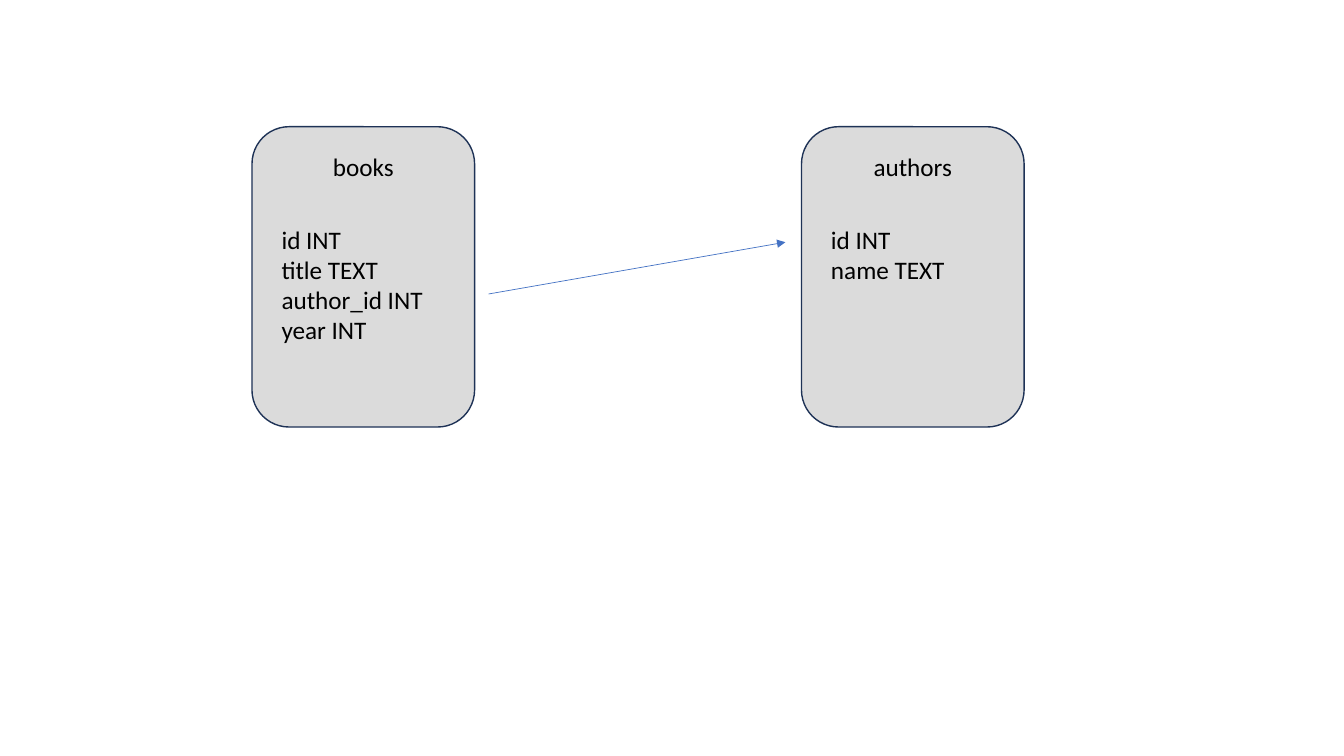
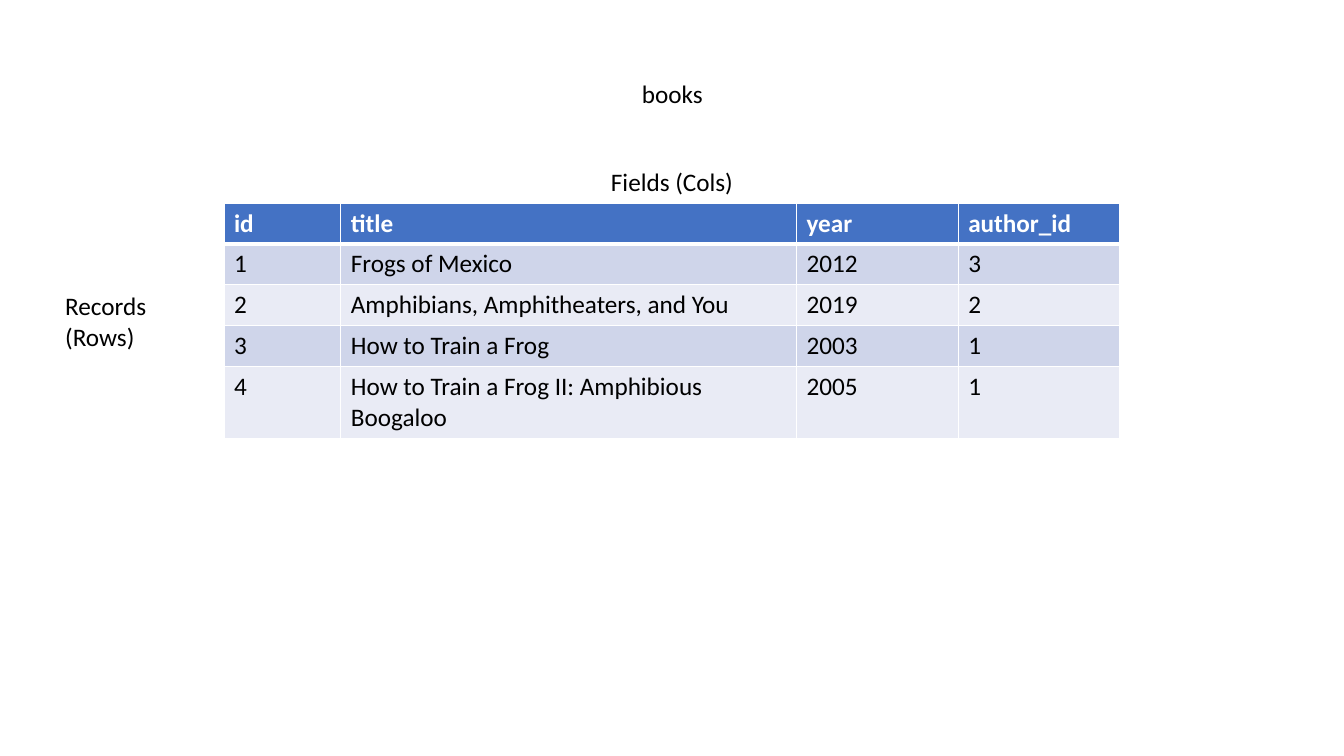
from pptx import Presentation
from pptx.util import Pt
from pptx.dml.color import RGBColor
from pptx.enum.shapes import MSO_CONNECTOR, MSO_SHAPE
from pptx.enum.text import MSO_AUTO_SIZE, PP_ALIGN
from pptx.oxml.ns import qn
from lxml.etree import SubElement

FONT, SIZE = "Calibri", Pt(18)
BLACK = RGBColor(0x00, 0x00, 0x00)
WHITE = RGBColor(0xFF, 0xFF, 0xFF)
GREY = RGBColor(0xDB, 0xDB, 0xDB)
NAVY = RGBColor(0x1E, 0x32, 0x56)
BLUE = RGBColor(0x44, 0x72, 0xC4)
BAND_DARK = RGBColor(0xCF, 0xD5, 0xEA)
BAND_LIGHT = RGBColor(0xE9, 0xEB, 0xF5)


def write(tf, lines, align=PP_ALIGN.LEFT, color=BLACK, bold=False):
    """Fill a text frame with one paragraph per line."""
    for i, line in enumerate(lines):
        p = tf.paragraphs[0] if i == 0 else tf.add_paragraph()
        p.alignment = align
        r = p.add_run()
        r.text = line
        r.font.name, r.font.size = FONT, SIZE
        r.font.bold = bold
        r.font.color.rgb = color


def add_label(s, left, top, width, height, lines, align=PP_ALIGN.LEFT):
    """Add a wrapped text box, measured in points."""
    sp = s.shapes.add_textbox(Pt(left), Pt(top), Pt(width), Pt(height))
    tf = sp.text_frame
    tf.word_wrap = True
    tf.auto_size = MSO_AUTO_SIZE.SHAPE_TO_FIT_TEXT
    write(tf, lines, align)


prs = Presentation()
prs.slide_width, prs.slide_height = Pt(960), Pt(540)
blank = prs.slide_layouts[6]

# Slide 1: the two entities and their relation
s = prs.slides.add_slide(blank)
BOX_TOP, BOX_W, BOX_H = 90.5, 159, 214.5
HEAD_W, FIELDS_W = 103.5, 131
entities = [
    (180, "books", ["id INT", "title TEXT", "author_id INT", "year INT"], 94.5),
    (572.5, "authors", ["id INT", "name TEXT"], 51),
]
for left, name, fields, fields_h in entities:
    sp = s.shapes.add_shape(MSO_SHAPE.ROUNDED_RECTANGLE,
                            Pt(left), Pt(BOX_TOP), Pt(BOX_W), Pt(BOX_H))
    sp.shadow.inherit = False
    sp.fill.solid()
    sp.fill.fore_color.rgb = GREY
    sp.line.color.rgb = NAVY
    sp.line.width = Pt(1)
    add_label(s, left + (BOX_W - HEAD_W) / 2, BOX_TOP + 14, HEAD_W, 29,
              [name], PP_ALIGN.CENTER)
    add_label(s, left + (BOX_W - FIELDS_W) / 2, BOX_TOP + 66, FIELDS_W,
              fields_h, fields)

arrow = s.shapes.add_connector(MSO_CONNECTOR.STRAIGHT,
                               Pt(349), Pt(210), Pt(561), Pt(173))
arrow.line.color.rgb = BLUE
arrow.line.width = Pt(0.5)
SubElement(arrow.line._get_or_add_ln(), qn("a:tailEnd"), type="triangle")
SubElement(arrow._element.spPr, qn("a:effectLst"))

# Slide 2: the books table with its labels
s = prs.slides.add_slide(blank)
rows = [
    ("id", "title", "year", "author_id"),
    ("1", "Frogs of Mexico", "2012", "3"),
    ("2", "Amphibians, Amphitheaters, and You", "2019", "2"),
    ("3", "How to Train a Frog", "2003", "1"),
    ("4", "How to Train a Frog II: Amphibious Boogaloo", "2005", "1"),
]
col_widths = [83.5, 325.5, 115.5, 115.5]
ROW_H = 29.2
table = s.shapes.add_table(len(rows), len(col_widths), Pt(160), Pt(145),
                           Pt(sum(col_widths)), Pt(ROW_H * len(rows))).table
for col, width in zip(table.columns, col_widths):
    col.width = Pt(width)
for i, values in enumerate(rows):
    table.rows[i].height = Pt(ROW_H)
    header = i == 0
    fill = BLUE if header else BAND_DARK if i % 2 else BAND_LIGHT
    borders = {"L": 1, "R": 1, "T": 3 if i == 1 else 1, "B": 3 if header else 1}
    for j, value in enumerate(values):
        cell = table.cell(i, j)
        write(cell.text_frame, [value], color=WHITE if header else BLACK,
              bold=header)
        tcPr = cell._tc.get_or_add_tcPr()
        for side, width in borders.items():
            ln = SubElement(tcPr, qn("a:ln" + side), w=str(Pt(width)))
            solid = SubElement(ln, qn("a:solidFill"))
            SubElement(solid, qn("a:srgbClr"), val=str(WHITE))
        cell.fill.solid()
        cell.fill.fore_color.rgb = fill

add_label(s, 438.5, 52.5, 83.5, 29, ["books"], PP_ALIGN.CENTER)
add_label(s, 39.5, 204, 73, 51, ["Records (Rows)"])
add_label(s, 403.5, 115.5, 153, 29, ["Fields (Cols)"], PP_ALIGN.CENTER)

prs.save("out.pptx")
